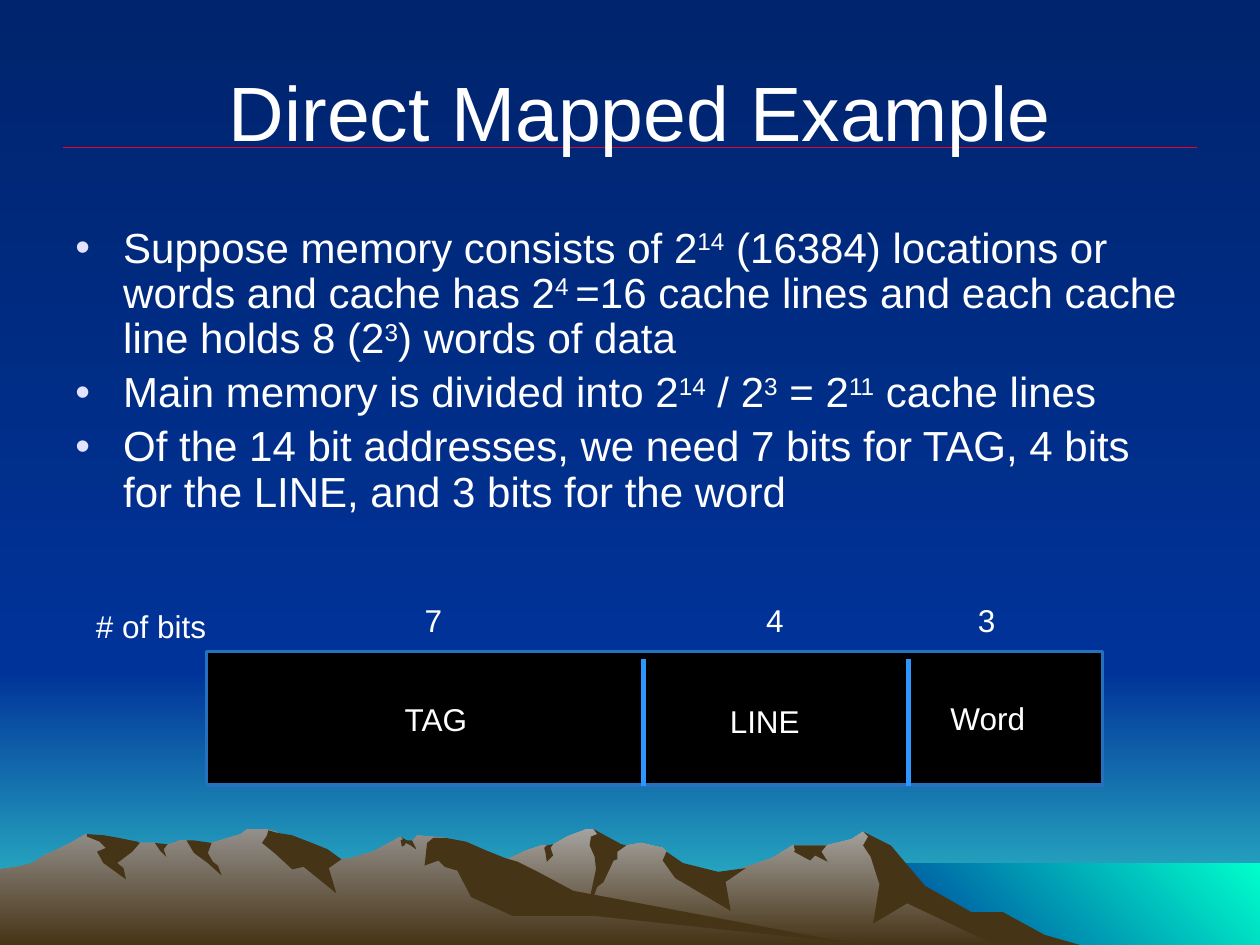
from lxml import etree
from pptx import Presentation, util as u
from pptx.dml.color import RGBColor
from pptx.enum import shapes, text
from pptx.oxml.ns import qn

COLORS = {
    "night": "00246D", "blue": "003399", "horizon": "33CCCC", "sea": "00FFCC",
    "near_top": "A5A29F", "far_top": "938F8B", "rock": "463416",
    "rule": "EF0129", "text": "FFFFFF", "bullet": "E3E3FF",
    "box": "000000", "box_line": "2671BD", "divider": "2D96FE",
}
FONT = "Arial"

# Outlines in hundredths of an inch
RIGHT_RANGE = [
    (802, 740), (778, 727), (764, 723), (723, 698), (702, 671), (685, 660),
    (676, 666), (656, 671), (629, 671), (613, 681), (566, 697), (536, 690),
    (529, 676), (526, 673), (509, 669), (497, 671), (486, 673), (474, 661),
    (471, 658), (465, 658), (450, 664), (438, 671), (430, 671), (418, 675),
    (405, 681), (394, 685), (355, 698), (327, 709), (277, 739), (258, 750),
    (820, 750)]
RIGHT_SHADOWS = [
    [(796, 724), (771, 724), (734, 703), (707, 671), (685, 660), (689, 664),
     (685, 671), (691, 680), (698, 702), (693, 733), (720, 717), (790, 750),
     (857, 750), (829, 742)],
    [(471, 658), (474, 662), (469, 664), (468, 671), (472, 680), (473, 690),
     (465, 727), (474, 704), (479, 700), (487, 683), (490, 682), (490, 676),
     (497, 671), (493, 670)],
    [(529, 676), (526, 683), (536, 697), (580, 723), (576, 700), (592, 689),
     (570, 692), (542, 685)],
    [(650, 671), (630, 671), (631, 675), (630, 676), (643, 683), (647, 679),
     (657, 684), (652, 676), (656, 671)],
    [(433, 677), (432, 673), (434, 671), (439, 670), (437, 673), (439, 679),
     (434, 684)],
]
LEFT_RANGE = [
    (690, 750), (667, 748), (432, 712), (354, 665), (331, 663), (327, 668),
    (323, 668), (318, 664), (296, 676), (279, 681), (271, 682), (260, 676),
    (236, 681), (223, 663), (219, 660), (212, 658), (196, 658), (191, 662),
    (178, 666), (160, 671), (148, 667), (143, 667), (132, 671), (123, 669),
    (111, 669), (94, 671), (68, 662), (56, 669), (46, 674), (35, 679),
    (26, 685), (14, 688), (0, 690), (0, 750)]
LEFT_SHADOWS = [
    [(212, 663), (208, 669), (219, 678), (232, 690), (241, 688), (267, 709),
     (261, 689), (271, 682), (260, 674), (245, 668), (232, 663), (220, 661),
     (213, 659)],
    [(370, 668), (354, 665), (344, 665), (339, 669), (337, 687), (348, 683),
     (353, 688), (363, 691), (374, 712), (407, 727), (472, 727), (690, 750),
     (683, 750), (455, 707), (427, 692), (411, 684), (401, 681), (386, 675)],
    [(318, 667), (320, 666), (318, 664), (323, 667), (327, 667), (330, 673),
     (330, 674), (326, 671), (322, 669), (321, 671), (319, 672)],
    [(154, 667), (168, 669), (165, 677), (169, 684), (173, 687), (176, 695),
     (165, 685), (154, 677), (148, 667)],
    [(133, 670), (130, 674), (132, 680), (127, 675), (123, 669)],
    [(109, 668), (111, 669), (105, 676), (93, 685), (98, 689), (100, 698),
     (82, 685), (77, 676), (84, 673), (79, 668), (69, 664), (69, 662),
     (83, 663), (94, 665)],
]

# ^ switches superscript on and off
BULLETS = [
    "Suppose memory consists of 2^14^ (16384) locations or words and cache "
    "has 2^4 ^=16 cache lines and each cache line holds 8 (2^3^) words of data",
    "Main memory is divided into 2^14^ / 2^3^ = 2^11^ cache lines",
    "Of the 14 bit addresses, we need 7 bits for TAG, 4 bits for the LINE, "
    "and 3 bits for the word",
]
LABELS = [
    ("TAG", 2.94, 5.51, 1.04), ("LINE", 5.55, 5.52, 1.04),
    ("Word", 7.32, 5.5, 1.04), ("7", 2.92, 4.72, 1.04),
    ("4", 5.63, 4.72, 1.04), ("3", 7.31, 4.72, 1.04),
    ("# of bits", 0.53, 4.77, 1.34),
]


def rgb(name):
    return RGBColor.from_string(COLORS[name])


def paint(fill, *names, angle=270):
    """Solid fill for one colour, linear gradient for two."""
    if len(names) == 1:
        fill.solid()
        fill.fore_color.rgb = rgb(names[0])
        return
    fill.gradient()
    fill.gradient_angle = angle
    for stop, name in zip(fill.gradient_stops, names):
        stop.color.rgb = rgb(name)


def block(left, top, right, bottom):
    return [(left, top), (right, top), (right, bottom), (left, bottom)]


class Deck:
    def __init__(self):
        self.prs = Presentation()
        self.prs.slide_width, self.prs.slide_height = u.Inches(10), u.Inches(7.5)
        self.s = self.prs.slides.add_slide(self.prs.slide_layouts[5])
        paint(self.s.background.fill, "night", "blue")

    def style(self, r, size):
        r.font.name, r.font.size = FONT, u.Pt(size)
        r.font.color.rgb = rgb("text")

    def outline(self, points, *colors, angle=270):
        builder = self.s.shapes.build_freeform(*points[0], scale=u.Inches(0.01))
        builder.add_line_segments(points[1:], close=True)
        sp = builder.convert_to_shape()
        sp.shadow.inherit = False
        sp.line.fill.background()
        paint(sp.fill, *colors, angle=angle)

    def line(self, x1, y1, x2, y2, color, width):
        ends = [u.Inches(v) for v in (x1, y1, x2, y2)]
        sp = self.s.shapes.add_connector(shapes.MSO_CONNECTOR.STRAIGHT, *ends)
        sp.line.color.rgb, sp.line.width = rgb(color), u.Pt(width)
        etree.SubElement(sp._element.spPr, qn("a:effectLst"))

    def title(self, words):
        sp = self.s.shapes.title
        sp.left, sp.top = u.Inches(0.56), u.Inches(0.25)
        sp.width, sp.height = u.Inches(9.04), u.Inches(1.25)
        tf = sp.text_frame
        tf.text = words
        tf.vertical_anchor = text.MSO_ANCHOR.MIDDLE
        tf.paragraphs[0].alignment = text.PP_ALIGN.CENTER
        self.style(tf.paragraphs[0].runs[0], 44)
        self.s.shapes._spTree.append(sp._element)  # bring in front of the scenery

    def text_frame(self, *place):
        tf = self.s.shapes.add_textbox(*[u.Inches(v) for v in place]).text_frame
        tf.word_wrap = True
        return tf

    def bullets(self, items, *place):
        tf = self.text_frame(*place)
        for i, item in enumerate(items):
            p = tf.paragraphs[0] if i == 0 else tf.add_paragraph()
            p.line_spacing = 0.9
            if i:
                p.space_before = u.Pt(5)
            pPr = p._p.get_or_add_pPr()
            pPr.set("marL", str(u.Inches(0.38)))
            pPr.set("indent", str(-u.Inches(0.38)))
            color = etree.SubElement(pPr, qn("a:buClr"))
            etree.SubElement(color, qn("a:srgbClr"), val=COLORS["bullet"])
            etree.SubElement(pPr, qn("a:buFont"), typeface=FONT)
            etree.SubElement(pPr, qn("a:buChar"), char="•")
            for j, part in enumerate(item.split("^")):
                r = p.add_run()
                r.text = part
                self.style(r, 24)
                if j % 2:
                    r._r.get_or_add_rPr().set("baseline", "30000")

    def label(self, words, left, top, width):
        tf = self.text_frame(left, top, width, 0.37)
        tf.text = words
        tf.paragraphs[0].alignment = text.PP_ALIGN.CENTER
        self.style(tf.paragraphs[0].runs[0], 18)

    def box(self, *place):
        sp = self.s.shapes.add_shape(shapes.MSO_SHAPE.RECTANGLE,
                                     *[u.Inches(v) for v in place])
        sp.shadow.inherit = False
        paint(sp.fill, "box")
        sp.line.color.rgb, sp.line.width = rgb("box_line"), u.Pt(2)


def main():
    deck = Deck()
    deck.outline(block(0, 533, 1000, 750), "blue", "horizon")
    deck.outline(block(0, 0, 1000, 533), "night", "blue")
    deck.outline(block(683, 685, 1000, 750), "blue", "sea", angle=45)
    for ridge, top, shadows in ((RIGHT_RANGE, "near_top", RIGHT_SHADOWS),
                                (LEFT_RANGE, "far_top", LEFT_SHADOWS)):
        deck.outline(ridge, top, "rock")
        for shadow in shadows:
            deck.outline(shadow, "rock")
    deck.line(0.5, 1.17, 9.5, 1.17, "rule", 0.75)
    deck.title("Direct Mapped Example")
    deck.bullets(BULLETS, 0.5, 1.75, 9, 4.92)
    deck.box(1.64, 5.17, 7.11, 1.06)
    for x in (5.11, 7.21):
        deck.line(x, 5.23, x, 6.24, "divider", 3)
    for label in LABELS:
        deck.label(*label)
    deck.prs.save("out.pptx")


if __name__ == "__main__":
    main()
